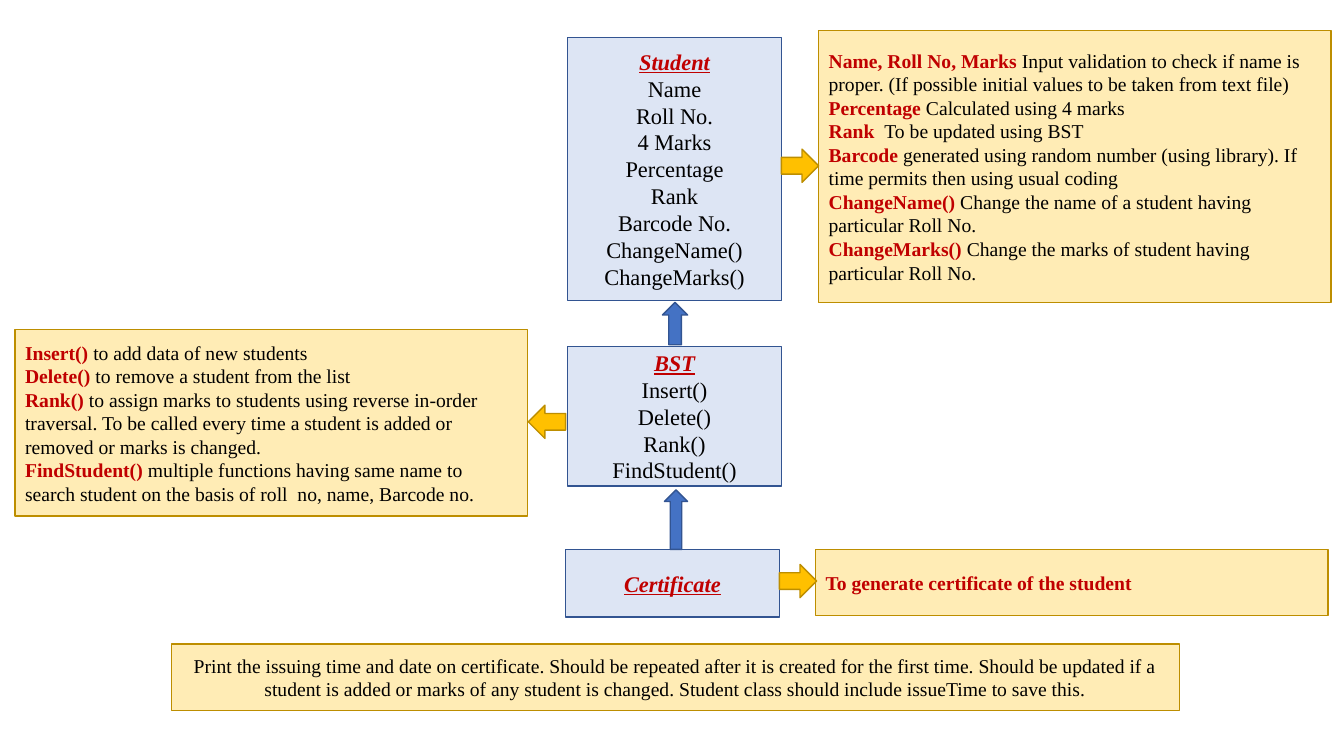
"""Draw the student, BST and certificate class diagram with its notes."""
from dataclasses import dataclass

from lxml.etree import SubElement
from pptx import Presentation
from pptx.dml.color import RGBColor
from pptx.enum.shapes import MSO_SHAPE as Kind
from pptx.enum.text import MSO_ANCHOR as Anchor, PP_ALIGN as Align
from pptx.oxml.ns import qn
from pptx.util import Pt

PX = 9144
FONT = "Times New Roman"
COLORS = {
    "blue": "4472C4", "navy": "325491",
    "gold": "FFC000", "ochre": "BD8E00",
    "red": "C00000", "black": "000000",
}


@dataclass(frozen=True)
class Box:
    left: int
    top: int
    width: int
    height: int


@dataclass(frozen=True)
class Group:
    box: Box
    name: str
    members: tuple[str, ...] = ()


@dataclass(frozen=True)
class Note:
    box: Box
    lines: tuple[tuple[str, str], ...]
    align: Align = Align.LEFT


@dataclass(frozen=True)
class Arrow:
    box: Box
    kind: Kind
    fill: str
    line: str


GROUPS = (
    Group(Box(563, 37, 212, 261), "Student", (
        "Name", "Roll No.", "4 Marks", "Percentage", "Rank",
        "Barcode No.", "ChangeName()", "ChangeMarks()")),
    Group(Box(563, 344, 212, 138), "BST", (
        "Insert()", "Delete()", "Rank()", "FindStudent()")),
    Group(Box(561, 545, 212, 67), "Certificate"),
)

NOTES = (
    Note(Box(812, 30, 508, 270), (
        ("Name, Roll No, Marks ",
         "Input validation to check if name is proper. "
         "(If possible initial values to be taken from text file)"),
        ("Percentage ", "Calculated using 4 marks"),
        ("Rank  ", "To be updated using BST"),
        ("Barcode ",
         "generated using random number (using library). "
         "If time permits then using usual coding"),
        ("ChangeName() ",
         "Change the name of a student having particular Roll No."),
        ("ChangeMarks() ",
         "Change the marks of student having particular Roll No."))),
    Note(Box(15, 327, 508, 185), (
        ("Insert() ", "to add data of new students"),
        ("Delete() ", "to remove a student from the list"),
        ("Rank() ",
         "to assign marks to students using reverse in-order traversal. "
         "To be called every time a student is added or removed "
         "or marks is changed."),
        ("FindStudent() ",
         "multiple functions having same name to search student "
         "on the basis of roll  no, name, Barcode no."))),
    Note(Box(809, 545, 508, 66), (
        ("To generate certificate of the student", ""),)),
    Note(Box(170, 639, 1000, 66), (
        ("", "Print the issuing time and date on certificate. "
         "Should be repeated after it is created for the first time. "
         "Should be updated if a student is added or marks of any student "
         "is changed. Student class should include issueTime to save this."),
    ), Align.CENTER),
)

ARROWS = (
    Arrow(Box(657, 300, 25, 42), Kind.UP_ARROW, "blue", "navy"),
    Arrow(Box(659, 486, 23, 59), Kind.UP_ARROW, "blue", "navy"),
    Arrow(Box(775, 148, 37, 33), Kind.RIGHT_ARROW, "gold", "ochre"),
    Arrow(Box(524, 402, 37, 33), Kind.LEFT_ARROW, "gold", "ochre"),
    Arrow(Box(773, 560, 37, 33), Kind.RIGHT_ARROW, "gold", "ochre"),
)


def tint(name: str) -> RGBColor:
    """Look up a named colour."""
    return RGBColor.from_string(COLORS[name])


def draw(slide, kind: Kind, box: Box, fill: str, line: str, alpha: int = 100):
    """Add a filled and outlined shape, see-through below 100 percent."""
    shape = slide.shapes.add_shape(
        kind, box.left * PX, box.top * PX, box.width * PX, box.height * PX)
    shape.shadow.inherit = False
    shape.fill.solid()
    shape.fill.fore_color.rgb = tint(fill)
    shape.line.color.rgb = tint(line)
    shape.line.width = Pt(1)
    if alpha < 100:
        color = shape.fill._xPr.find(qn("a:solidFill"))[0]
        SubElement(color, qn("a:alpha"), val=str(alpha * 1000))
    return shape


def style(run, size: int, color: str, bold: bool = False) -> None:
    """Format one run."""
    font = run.font
    font.name, font.size, font.bold = FONT, Pt(size), bold
    font.color.rgb = tint(color)


def add_group(slide, group: Group) -> None:
    """Draw a class with its underlined name and its members."""
    frame = draw(slide, Kind.RECTANGLE, group.box, "blue", "navy", 18).text_frame
    frame.text = "\n".join((group.name, *group.members))
    frame.word_wrap = True
    frame.vertical_anchor = Anchor.MIDDLE
    for row, para in enumerate(frame.paragraphs):
        para.alignment = Align.CENTER
        head = row == 0
        run = para.runs[0]
        style(run, 16, "red" if head else "black", head)
        run.font.italic = run.font.underline = head


def add_note(slide, note: Note) -> None:
    """Draw a note whose lines open with a bold red term."""
    frame = draw(slide, Kind.RECTANGLE, note.box, "gold", "ochre", 29).text_frame
    frame.word_wrap = True
    frame.vertical_anchor = Anchor.MIDDLE
    for row, (term, text) in enumerate(note.lines):
        para = frame.add_paragraph() if row else frame.paragraphs[0]
        para.alignment = note.align
        for part, color, bold in ((term, "red", True), (text, "black", False)):
            if part:
                run = para.add_run()
                run.text = part
                style(run, 14, color, bold)


def main() -> None:
    """Build and save the slide."""
    deck = Presentation()
    deck.slide_width, deck.slide_height = 1333 * PX, 750 * PX
    slide = deck.slides.add_slide(deck.slide_layouts[6])
    for group in GROUPS:
        add_group(slide, group)
    for note in NOTES:
        add_note(slide, note)
    for arrow in ARROWS:
        draw(slide, arrow.kind, arrow.box, arrow.fill, arrow.line)
    deck.save("out.pptx")


if __name__ == "__main__":
    main()
